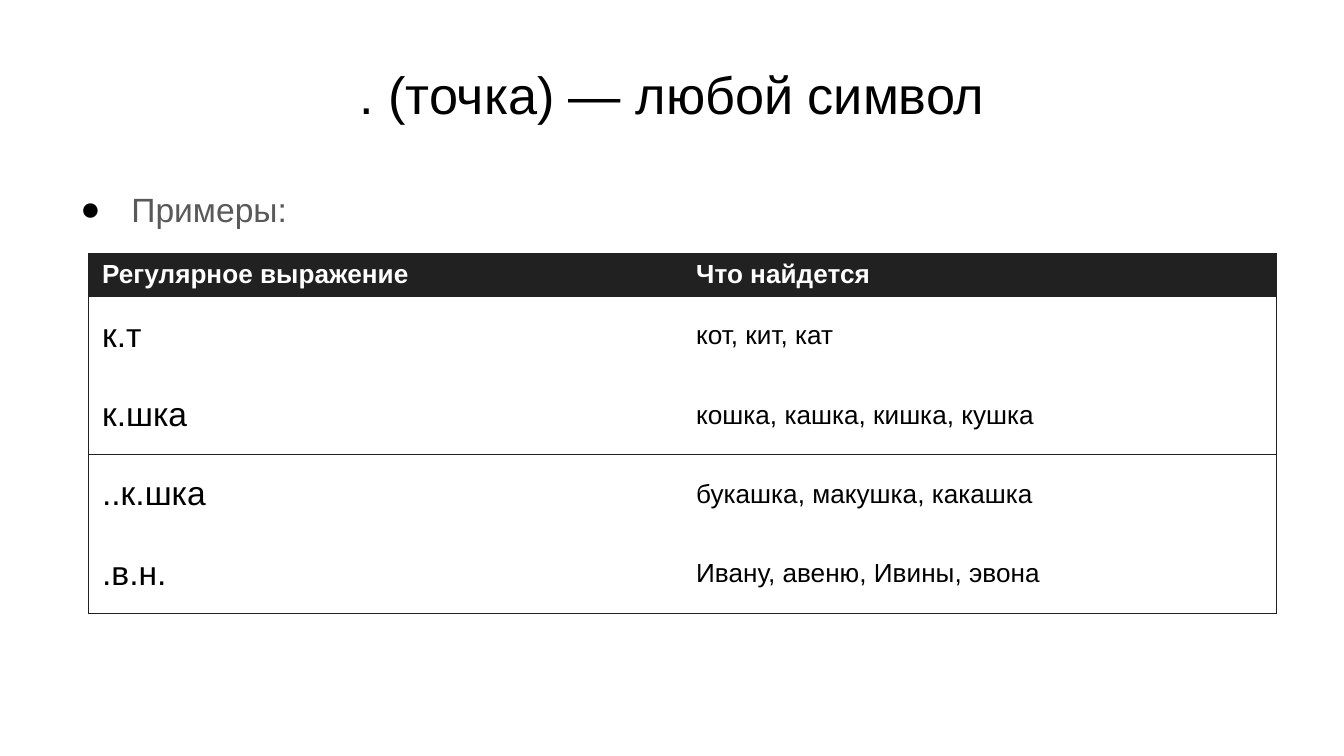
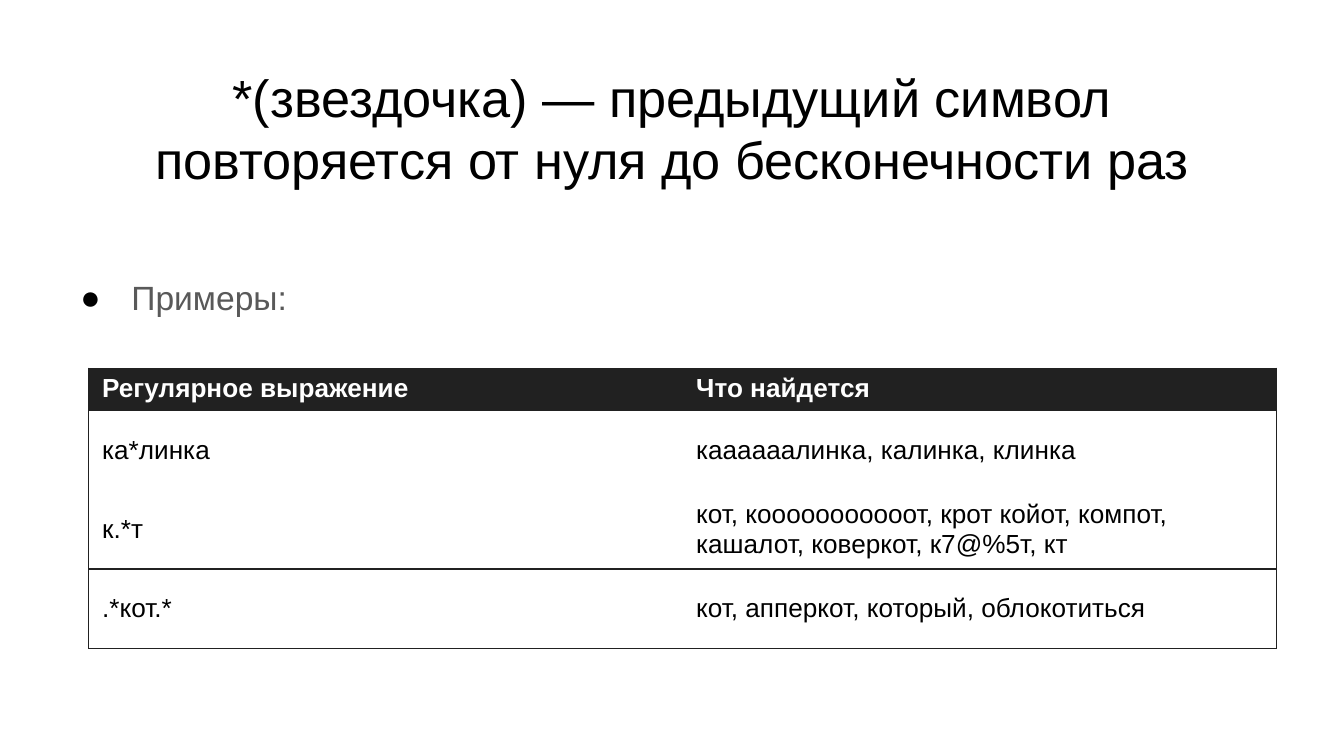
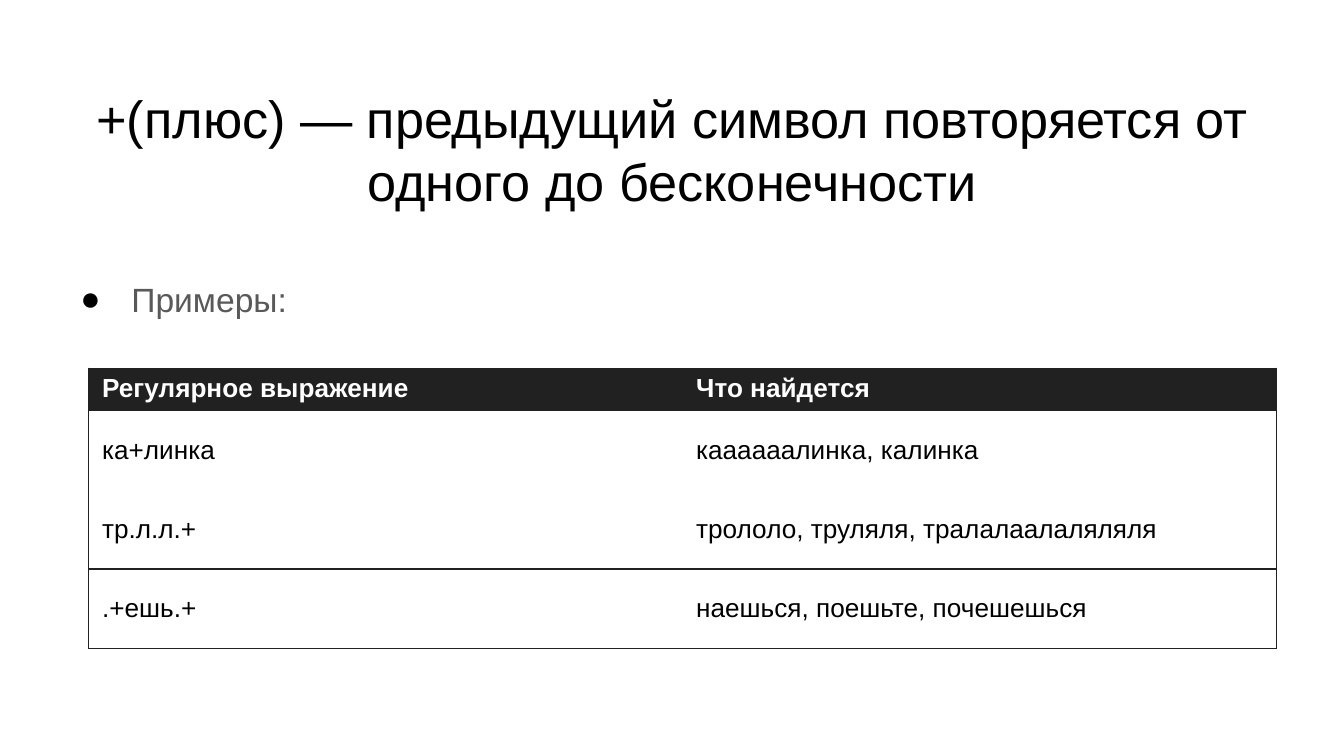
from lxml.etree import SubElement
from pptx import Presentation
from pptx.dml.color import RGBColor
from pptx.enum.text import MSO_ANCHOR, PP_ALIGN
from pptx.oxml.ns import qn
from pptx.util import Inches, Pt

COLORS = {"ink": "000000", "muted": "595959", "header": "212121", "paper": "FFFFFF"}
FONT = "Arial"
HEADINGS = ("Регулярное выражение", "Что найдется")
NO_STYLE = "{2D5ABB26-0587-4C30-8999-92F81FD0307C}"
TABLE_LEFT, COLUMN_WIDTH = 0.66, 4.42
HEADER_HEIGHT, ROW_HEIGHT = 0.31, 0.59

LESSONS = [
    {
        "title": ". (точка) — любой символ",
        "title_top": 0.23,
        "examples_top": 1.31,
        "examples_height": 3.71,
        "table_top": 1.89,
        "pattern_size": 18,
        "matches": [
            ("к.т", "кот, кит, кат"),
            ("к.шка", "кошка, кашка, кишка, кушка"),
            ("..к.шка", "букашка, макушка, какашка"),
            (".в.н.", "Ивану, авеню, Ивины, эвона"),
        ],
    },
    {
        "title": "*(звездочка) — предыдущий символ повторяется от нуля до бесконечности раз",
        "title_top": 0.48,
        "examples_top": 1.97,
        "examples_height": 1.54,
        "table_top": 2.74,
        "pattern_size": 14,
        "matches": [
            ("ка*линка", "каааааалинка, калинка, клинка"),
            ("к.*т", "кот, кооооооооооот, крот койот, компот, кашалот, коверкот, к7@%5т, кт"),
            (".*кот.*", "кот, апперкот, который, облокотиться"),
        ],
    },
    {
        "title": "+(плюс) — предыдущий символ повторяется от одного до бесконечности",
        "title_top": 0.64,
        "examples_top": 1.98,
        "examples_height": 3.05,
        "table_top": 2.74,
        "pattern_size": 14,
        "matches": [
            ("ка+линка", "каааааалинка, калинка"),
            ("тр.л.л.+", "трололо, труляля, тралалаалаляляля"),
            (".+ешь.+", "наешься, поешьте, почешешься"),
        ],
    },
]


def style_runs(paragraph, size, color, bold=False):
    """Format every run of a paragraph."""
    for run in paragraph.runs:
        run.font.name = FONT
        run.font.size = Pt(size)
        run.font.bold = bold
        run.font.color.rgb = RGBColor.from_string(COLORS[color])


def add_text(slide, text, top, height):
    """Add a wrapped text box across the content width and return its frame."""
    frame = slide.shapes.add_textbox(
        Inches(0.5), Inches(top), Inches(9), Inches(height)
    ).text_frame
    frame.word_wrap = True
    frame.text = text
    return frame


def add_title(slide, text, top):
    """Add the centred slide title."""
    frame = add_text(slide, text, top, 0.94)
    frame.vertical_anchor = MSO_ANCHOR.MIDDLE
    frame.paragraphs[0].alignment = PP_ALIGN.CENTER
    style_runs(frame.paragraphs[0], 28, "ink")


def add_examples_label(slide, top, height):
    """Add the bulleted line that introduces the examples."""
    label = add_text(slide, "Примеры:", top, height).paragraphs[0]
    label.line_spacing = 1.15
    properties = label._p.get_or_add_pPr()
    properties.set("marL", str(Inches(0.38)))
    properties.set("indent", str(-Inches(0.38)))
    bullet_color = SubElement(properties, qn("a:buClr"))
    SubElement(bullet_color, qn("a:srgbClr"), val=COLORS["ink"])
    SubElement(properties, qn("a:buFont"), typeface=FONT)
    SubElement(properties, qn("a:buChar"), char="●")
    style_runs(label, 18, "muted")


def draw_borders(cell, edges):
    """Draw thin lines on the cell edges that are switched on and clear the rest."""
    properties = cell._tc.get_or_add_tcPr()
    for edge, visible in edges.items():
        line = SubElement(properties, qn(f"a:ln{edge}"), w=str(Pt(0.75)))
        if visible:
            fill = SubElement(line, qn("a:solidFill"))
            SubElement(fill, qn("a:srgbClr"), val=COLORS["header"])
        else:
            SubElement(line, qn("a:noFill"))


def fill_cell(cell, text, size, is_header):
    """Write and format one header or body cell."""
    cell.text = text
    cell.margin_top = cell.margin_bottom = Inches(0.04 if is_header else 0)
    if is_header:
        cell.fill.solid()
        cell.fill.fore_color.rgb = RGBColor.from_string(COLORS["header"])
    else:
        cell.fill.background()
        cell.vertical_anchor = MSO_ANCHOR.MIDDLE
    style_runs(cell.text_frame.paragraphs[0], size, "paper" if is_header else "ink", is_header)


def add_matches_table(slide, matches, top, pattern_size):
    """Add the table of expressions and the words they find."""
    entries = [HEADINGS, *matches]
    frame = slide.shapes.add_table(
        len(entries), 2, Inches(TABLE_LEFT), Inches(top), Inches(2 * COLUMN_WIDTH),
        Inches(HEADER_HEIGHT + ROW_HEIGHT * len(matches)),
    )
    table = frame.table
    table.first_row = table.horz_banding = False
    table._tbl.tblPr.find(qn("a:tableStyleId")).text = NO_STYLE
    for column in table.columns:
        column.width = Inches(COLUMN_WIDTH)
    ruled = {0, 1, 3, len(entries)}
    for row, entry in enumerate(entries):
        is_header = row == 0
        table.rows[row].height = Inches(HEADER_HEIGHT if is_header else ROW_HEIGHT)
        for column, text in enumerate(entry):
            cell = table.cell(row, column)
            draw_borders(cell, {
                "L": column == 0, "R": column == 1,
                "T": row in ruled, "B": row + 1 in ruled,
            })
            is_pattern = column == 0 and not is_header
            fill_cell(cell, text, pattern_size if is_pattern else 14, is_header)


def add_lesson(deck, lesson):
    """Add one slide explaining a special symbol."""
    slide = deck.slides.add_slide(deck.slide_layouts[6])
    add_title(slide, lesson["title"], lesson["title_top"])
    add_examples_label(slide, lesson["examples_top"], lesson["examples_height"])
    add_matches_table(slide, lesson["matches"], lesson["table_top"], lesson["pattern_size"])


def main():
    """Build and save the deck."""
    deck = Presentation()
    deck.slide_width = Inches(10)
    deck.slide_height = deck.slide_width * 9 // 16
    for lesson in LESSONS:
        add_lesson(deck, lesson)
    deck.save("out.pptx")


if __name__ == "__main__":
    main()
